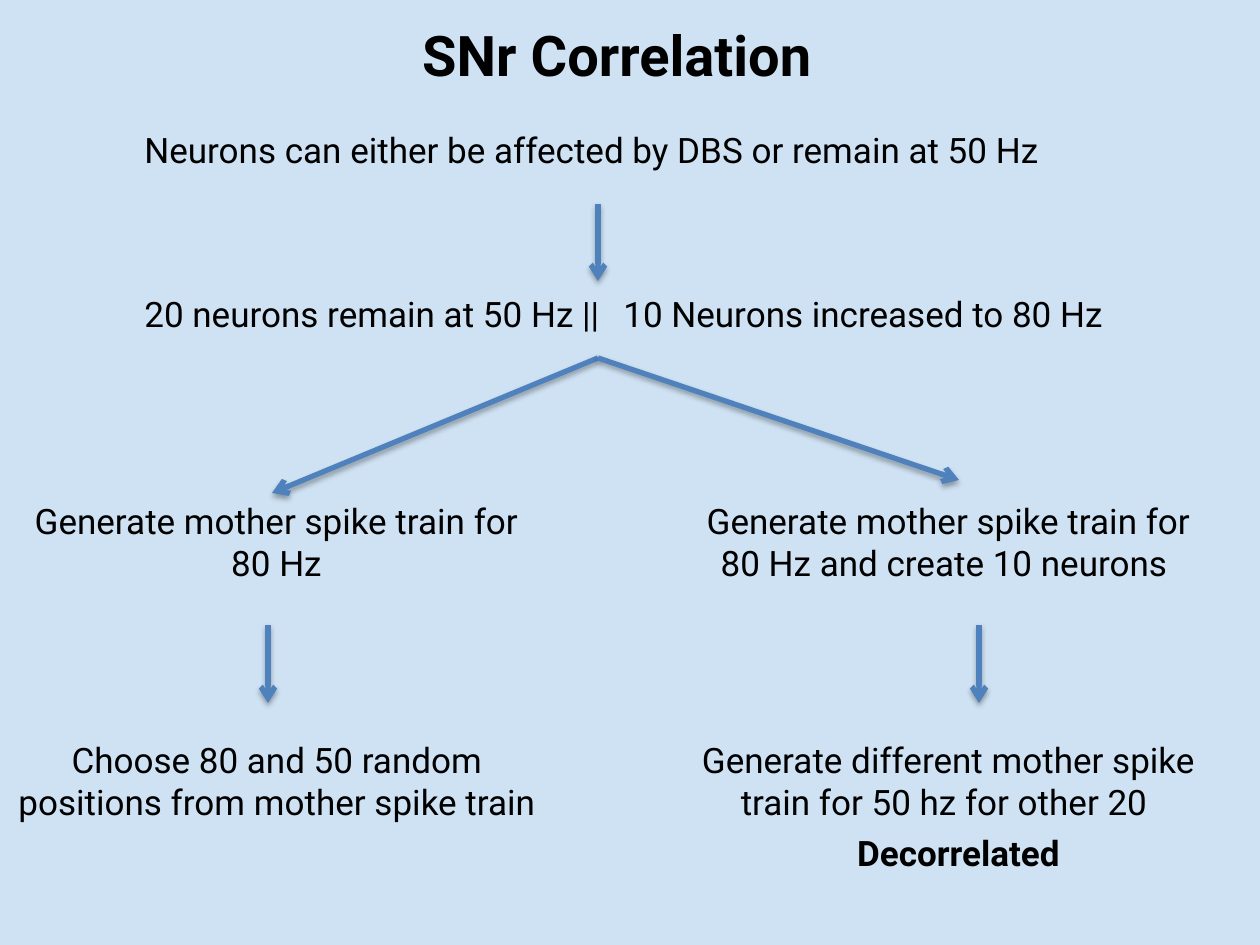
"""Build the SNr correlation flow slide."""
import pptx
import pptx.dml.color
import pptx.enum.shapes
import pptx.enum.text
import pptx.oxml
import pptx.oxml.ns
import pptx.util

PX = 914400 / 126
FONT = "Roboto"
BACKGROUND = pptx.dml.color.RGBColor(0xCF, 0xE2, 0xF3)
BLACK = pptx.dml.color.RGBColor(0, 0, 0)
BLUE = pptx.dml.color.RGBColor(0x4F, 0x81, 0xBD)
LEFT = pptx.enum.text.PP_ALIGN.LEFT
CENTER = pptx.enum.text.PP_ALIGN.CENTER

TITLE = ("SNr Correlation", (100, 14, 1034, 81))
SPLIT_TAB = 479
STATEMENTS = [
    ("Neurons can either be affected by DBS or remain at 50 Hz", 122),
    ("20 neurons remain at 50 Hz ||\t10 Neurons increased to 80 Hz", 286),
]
STEPS = [
    ("Generate mother spike train for 80 Hz", (8, 493, 537, 97), False),
    ("Choose 80 and 50 random positions from mother spike train", (-4, 732, 562, 97), False),
    ("Generate mother spike train for 80 Hz and create 10 neurons ", (680, 493, 537, 97), False),
    ("Generate different mother spike train for 50 hz for other 20 ", (680, 732, 537, 97), False),
    ("Decorrelated", (690, 825, 537, 55), True),
]
ARROWS = [
    ((598, 204), (598, 281)),
    ((598, 358), (272, 493)),
    ((598, 358), (959, 480)),
    ((268, 625), (268, 703)),
    ((979, 625), (979, 703)),
]
SHADOW = (
    '<a:effectLst %s><a:outerShdw blurRad="40000" dist="23000" dir="5400000" rotWithShape="0">'
    '<a:srgbClr val="000000"><a:alpha val="35000"/></a:srgbClr></a:outerShdw></a:effectLst>'
) % pptx.oxml.ns.nsdecls("a")
TAIL = '<a:tailEnd %s type="arrow"/>' % pptx.oxml.ns.nsdecls("a")
TABS = '<a:tabLst %s><a:tab pos="%d" algn="l"/></a:tabLst>' % (
    pptx.oxml.ns.nsdecls("a"), round(SPLIT_TAB * PX))


def emu(*lengths):
    return [round(length * PX) for length in lengths]


def write(sp, text, size, align, bold=False):
    tf = sp.text_frame
    tf.word_wrap = True
    tf.auto_size = pptx.enum.text.MSO_AUTO_SIZE.NONE
    tf.vertical_anchor = pptx.enum.text.MSO_ANCHOR.TOP
    tf.text = text
    p = tf.paragraphs[0]
    p.alignment = align
    for r in p.runs:
        r.font.name = FONT
        r.font.size = pptx.util.Pt(size)
        r.font.bold = bold
        r.font.color.rgb = BLACK
    return p


def add_text(s, text, box, align, bold=False):
    return write(s.shapes.add_textbox(*emu(*box)), text, 20, align, bold)


def add_arrow(s, start, end):
    sp = s.shapes.add_connector(
        pptx.enum.shapes.MSO_CONNECTOR.STRAIGHT, *emu(*start, *end))
    sp.line.color.rgb = BLUE
    sp.line.width = pptx.util.Pt(3)
    sp.line._get_or_add_ln().append(pptx.oxml.parse_xml(TAIL))
    sp._element.spPr.append(pptx.oxml.parse_xml(SHADOW))


def main():
    prs = pptx.Presentation()
    prs.slide_width, prs.slide_height = emu(1260, 945)
    s = prs.slides.add_slide(prs.slide_layouts[5])
    s.background.fill.solid()
    s.background.fill.fore_color.rgb = BACKGROUND

    text, box = TITLE
    title = s.shapes.title
    title.left, title.top, title.width, title.height = emu(*box)
    write(title, text, 32, CENTER, True)

    for text, top in STATEMENTS:
        p = add_text(s, text, (132, top, 1019, 55), LEFT)
        if "\t" in text:
            p._p.get_or_add_pPr().append(pptx.oxml.parse_xml(TABS))
    for text, box, bold in STEPS:
        add_text(s, text, box, CENTER, bold)
    for start, end in ARROWS:
        add_arrow(s, start, end)

    prs.save("out.pptx")


if __name__ == "__main__":
    main()
